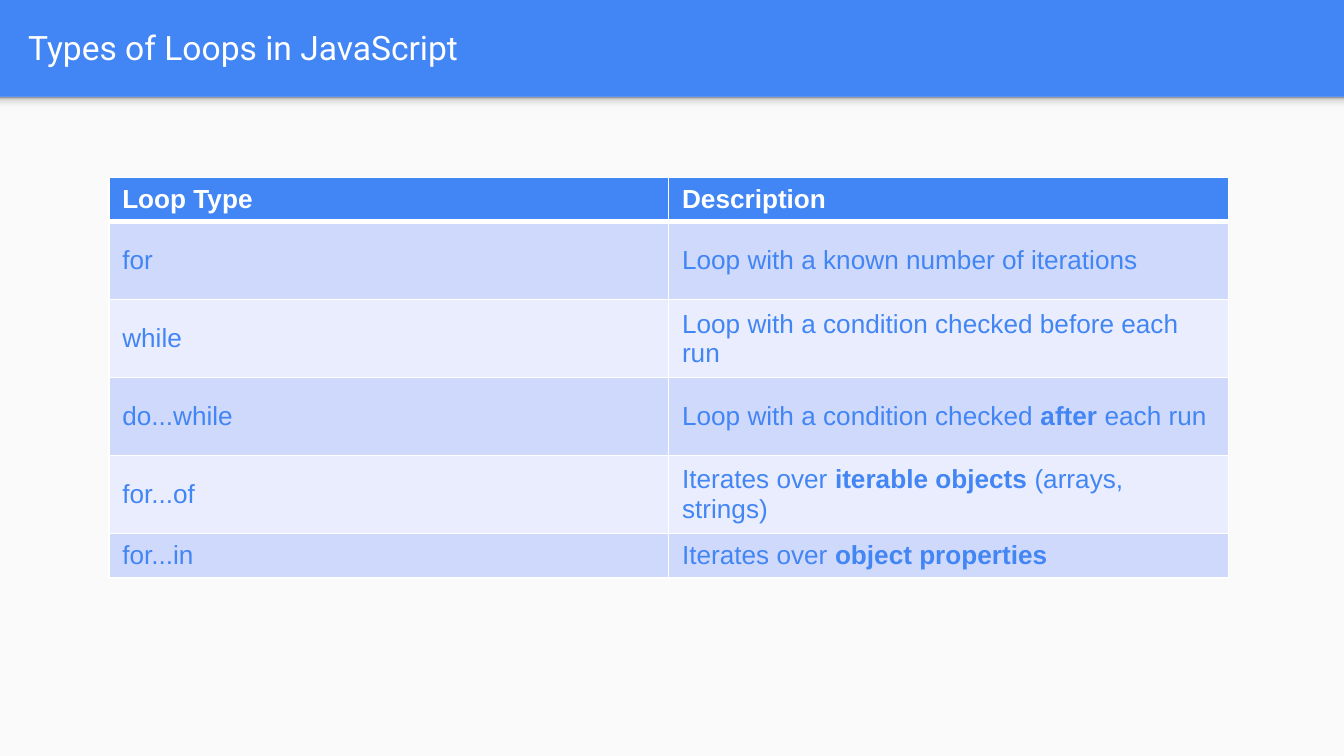
import pptx
import pptx.dml.color
import pptx.enum.shapes
import pptx.enum.text
import pptx.oxml.ns
import pptx.util
from lxml import etree

WIDE = 10
HIGH = WIDE * 9 / 16
BAR = 0.72
BLUE, WHITE, PAPER = "4285F4", "FFFFFF", "FAFAFA"
BANDS = ["CFD9FB", "E9EDFD"]
SHADE = [(0, "F9F9F9"), (36, "F9F9F9"), (80, "DEDEDE"), (100, "999999")]
HEIGHTS = [0.33] + [0.58] * 4 + [0.33]
# Text between asterisks is bold.
ROWS = [
    ("*Loop Type*", "*Description*"),
    ("for", "Loop with a known number of iterations"),
    ("while", "Loop with a condition checked before each run"),
    ("do...while", "Loop with a condition checked *after* each run"),
    ("for...of", "Iterates over *iterable objects* (arrays, strings)"),
    ("for...in", "Iterates over *object properties*"),
]


def color(code):
    return pptx.dml.color.RGBColor.from_string(code)


def inch(size):
    return pptx.util.Inches(size)


def paint(fill, code):
    fill.solid()
    fill.fore_color.rgb = color(code)


def style(run, size, face, code, bold=False):
    font = run.font
    font.size = pptx.util.Pt(size)
    font.name = face
    font.bold = bold
    font.color.rgb = color(code)


def node(parent, tag, **attrs):
    return etree.SubElement(parent, pptx.oxml.ns.qn(tag), **attrs)


def add_rect(slide, top, height):
    kind = pptx.enum.shapes.MSO_SHAPE.RECTANGLE
    rect = slide.shapes.add_shape(kind, 0, inch(top), inch(WIDE), inch(height))
    rect.shadow.inherit = False
    rect.line.fill.background()
    return rect


def fade(shape, stops):
    """Fill the shape with a gradient that runs upwards."""
    shape.fill.gradient()
    shape.fill.gradient_angle = 90
    group = shape.element.spPr.find(".//" + pptx.oxml.ns.qn("a:gsLst"))
    for old in list(group):
        group.remove(old)
    for share, code in stops:
        stop = node(group, "a:gs", pos=str(share * 1000))
        node(stop, "a:srgbClr", val=code)


def add_title(slide, text):
    title = slide.shapes.title
    title.left, title.top = inch(0.11), inch(0.02)
    title.width, title.height = inch(9.65), inch(0.66)
    frame = title.text_frame
    frame.text = text
    frame.word_wrap = True
    frame.auto_size = pptx.enum.text.MSO_AUTO_SIZE.NONE
    frame.vertical_anchor = pptx.enum.text.MSO_ANCHOR.MIDDLE
    frame.margin_left = frame.margin_right = inch(0.1)
    frame.margin_top = frame.margin_bottom = inch(0.1)
    frame.paragraphs[0].alignment = pptx.enum.text.PP_ALIGN.LEFT
    style(frame.paragraphs[0].runs[0], 18, "Roboto", WHITE)


def edge(cell, side, width):
    props = cell._tc.get_or_add_tcPr()
    line = node(props, "a:ln" + side, w=str(pptx.util.Pt(width)))
    node(node(line, "a:solidFill"), "a:srgbClr", val=WHITE)


def fill_cell(cell, text, row):
    head = row == 0
    for side in "LRTB":
        thick = (head and side == "B") or (row == 1 and side == "T")
        edge(cell, side, 3 if thick else 1)
    paint(cell.fill, BLUE if head else BANDS[(row - 1) % 2])
    cell.vertical_anchor = pptx.enum.text.MSO_ANCHOR.MIDDLE
    para = cell.text_frame.paragraphs[0]
    for i, part in enumerate(text.split("*")):
        if part:
            run = para.add_run()
            run.text = part
            style(run, 14, "Arial", WHITE if head else BLUE, i % 2 == 1)


def add_grid(slide):
    frame = slide.shapes.add_table(len(ROWS), 2, inch(0.81), inch(1.32),
                                   inch(8.33), inch(sum(HEIGHTS)))
    table = frame.table
    for r, texts in enumerate(ROWS):
        table.rows[r].height = inch(HEIGHTS[r])
        for c, text in enumerate(texts):
            fill_cell(table.cell(r, c), text, r)


def main():
    deck = pptx.Presentation()
    deck.slide_width, deck.slide_height = inch(WIDE), inch(HIGH)
    slide = deck.slides.add_slide(deck.slide_layouts[5])
    paint(slide.background.fill, BLUE)
    paint(add_rect(slide, BAR, HIGH - BAR).fill, PAPER)
    fade(add_rect(slide, BAR, 0.12), SHADE)
    add_title(slide, "Types of Loops in JavaScript")
    add_grid(slide)
    deck.save("out.pptx")


if __name__ == "__main__":
    main()
